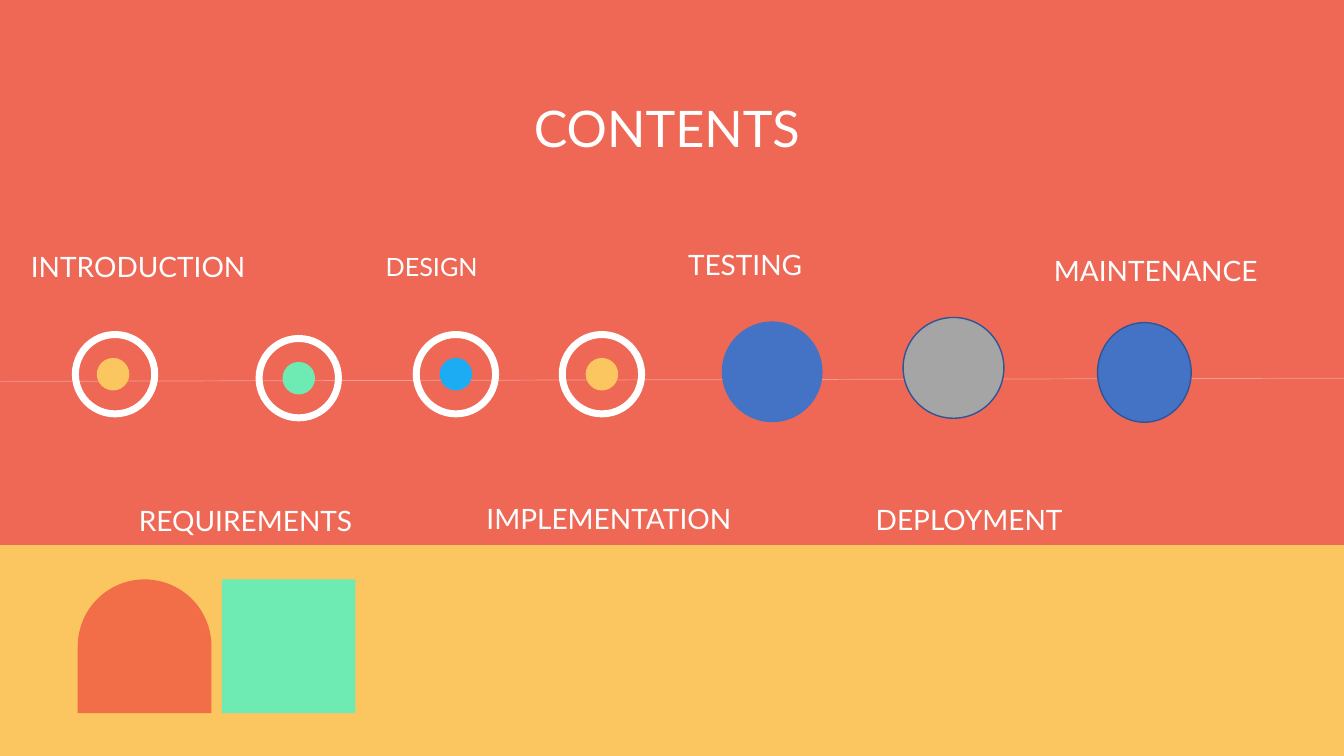
from lxml import etree
from pptx import Presentation
from pptx import util as u
from pptx.dml.color import RGBColor
from pptx.enum import shapes, text
from pptx.oxml.ns import qn

Cm, Pt = u.Cm, u.Pt
CORAL = RGBColor(0xEF, 0x68, 0x56)
YELLOW = RGBColor(0xFB, 0xC6, 0x60)
MINT = RGBColor(0x6D, 0xEB, 0xB2)
SKY = RGBColor(0x1C, 0xAC, 0xF4)
ORANGE = RGBColor(0xF1, 0x6E, 0x48)
BLUE = RGBColor(0x44, 0x72, 0xC4)
NAVY = RGBColor(0x2F, 0x55, 0x97)
GRAY = RGBColor(0xA5, 0xA5, 0xA5)
PALE = RGBColor(0xF2, 0xF2, 0xF2)
WHITE = RGBColor(0xFF, 0xFF, 0xFF)

WIDTH, HEIGHT = 33.87, 19.05
BAND_TOP = 13.74
RING, DOT = 2.0, 0.82
BLOCK, BLOCK_TOP = 3.37, 14.6

# left, top, dot colour, sideways shift of the dot
RINGS = [
    (1.9, 8.43, YELLOW, -0.05),
    (6.53, 8.53, MINT, 0),
    (10.49, 8.43, SKY, 0),
    (14.17, 8.43, YELLOW, 0),
]
# left, top, width, height, fill, outline
DISCS = [
    (18.19, 8.1, 2.54, 2.54, BLUE, None),
    (22.76, 8.0, 2.54, 2.54, GRAY, NAVY),
    (27.66, 8.13, 2.36, 2.51, BLUE, NAVY),
]
# wording, left, top, width, height, size
LABELS = [
    ("INTRODUCTION", 0.53, 6.15, 7.16, 1.5, 20),
    ("REQUIREMENTS", 3.25, 12.57, 7.06, 1.02, 20),
    ("DESIGN", 9.47, 6.2, 3.33, 1.02, 18),
    ("IMPLEMENTATION", 12.01, 12.52, 8.1, 1.12, 20),
    ("TESTING", 17.09, 6.12, 5.0, 1.12, 20),
    ("DEPLOYMENT", 21.82, 12.55, 7.09, 1.12, 20),
    ("MAINTENANCE", 26.31, 6.27, 6.86, 1.12, 20),
]


def add_figure(slide, kind, left, top, width, height, fill=None, outline=None, weight=1):
    figure = slide.shapes.add_shape(kind, Cm(left), Cm(top), Cm(width), Cm(height))
    figure.shadow.inherit = False
    if fill is None:
        figure.fill.background()
    else:
        figure.fill.solid()
        figure.fill.fore_color.rgb = fill
    if outline is None:
        figure.line.fill.background()
    else:
        figure.line.color.rgb = outline
        figure.line.width = Pt(weight)
    return figure


def write(holder, wording, size, align):
    frame = holder.text_frame
    frame.text = wording
    frame_format = {
        "word_wrap": True,
        "auto_size": text.MSO_AUTO_SIZE.NONE,
        "vertical_anchor": text.MSO_ANCHOR.TOP,
    }
    for name, value in frame_format.items():
        setattr(frame, name, value)
    paragraph = frame.paragraphs[0]
    paragraph.alignment = align
    font = paragraph.runs[0].font
    for name, value in {"name": "Lato", "size": Pt(size), "bold": False}.items():
        setattr(font, name, value)
    font.color.rgb = WHITE


def add_title(slide, wording):
    title = slide.shapes.title
    place = {"left": 6.99, "top": 2.31, "width": 19.63, "height": 3.33}
    for name, value in place.items():
        setattr(title, name, Cm(value))
    write(title, wording, 36, text.PP_ALIGN.CENTER)


def add_label(slide, wording, left, top, width, height, size):
    label = slide.shapes.add_textbox(Cm(left), Cm(top), Cm(width), Cm(height))
    write(label, wording, size, text.PP_ALIGN.LEFT)


def add_timeline(slide):
    timeline = slide.shapes.add_connector(
        shapes.MSO_CONNECTOR.STRAIGHT, Cm(0), Cm(9.61), Cm(WIDTH), Cm(9.53))
    timeline.line.color.rgb = PALE
    timeline.line.width = Pt(0.5)
    properties = timeline._element.spPr
    colour = properties.find(".//" + qn("a:srgbClr"))
    etree.SubElement(colour, qn("a:alpha")).set("val", "40000")
    etree.SubElement(properties, qn("a:effectLst"))


def add_ring(slide, left, top, colour, shift):
    inset = (RING - DOT) / 2
    oval = shapes.MSO_SHAPE.OVAL
    add_figure(slide, oval, left + inset + shift, top + inset, DOT, DOT, colour)
    add_figure(slide, oval, left, top, RING, RING, outline=WHITE, weight=5)


def main():
    deck = Presentation()
    deck.slide_width, deck.slide_height = Cm(WIDTH), Cm(HEIGHT)
    slide = deck.slides.add_slide(deck.slide_layouts[5])
    slide.background.fill.solid()
    slide.background.fill.fore_color.rgb = CORAL

    # Title and lower band
    add_title(slide, "CONTENTS")
    add_figure(slide, shapes.MSO_SHAPE.RECTANGLE, 0, BAND_TOP, WIDTH, HEIGHT - BAND_TOP, YELLOW)

    # Timeline with its stages
    add_timeline(slide)
    for ring in RINGS:
        add_ring(slide, *ring)
    for disc in DISCS:
        add_figure(slide, shapes.MSO_SHAPE.OVAL, *disc)
    for label in LABELS:
        add_label(slide, *label)

    # Arch and square on the band
    arch = add_figure(slide, shapes.MSO_SHAPE.ROUND_2_SAME_RECTANGLE,
                      1.96, BLOCK_TOP, BLOCK, BLOCK, ORANGE)
    arch.adjustments[0] = 0.5
    add_figure(slide, shapes.MSO_SHAPE.RECTANGLE, 5.59, BLOCK_TOP, BLOCK, BLOCK, MINT)

    deck.save("out.pptx")


if __name__ == "__main__":
    main()
